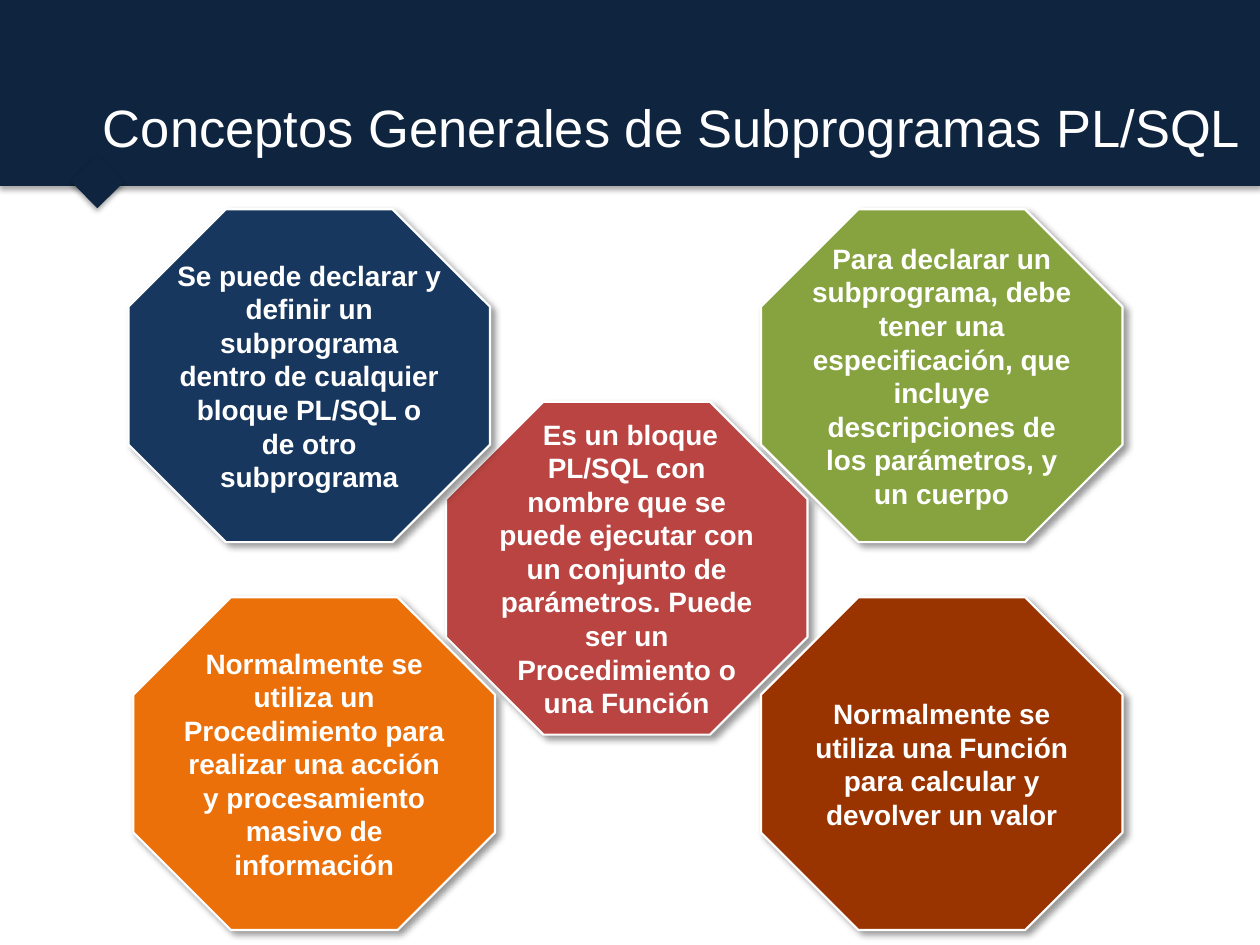
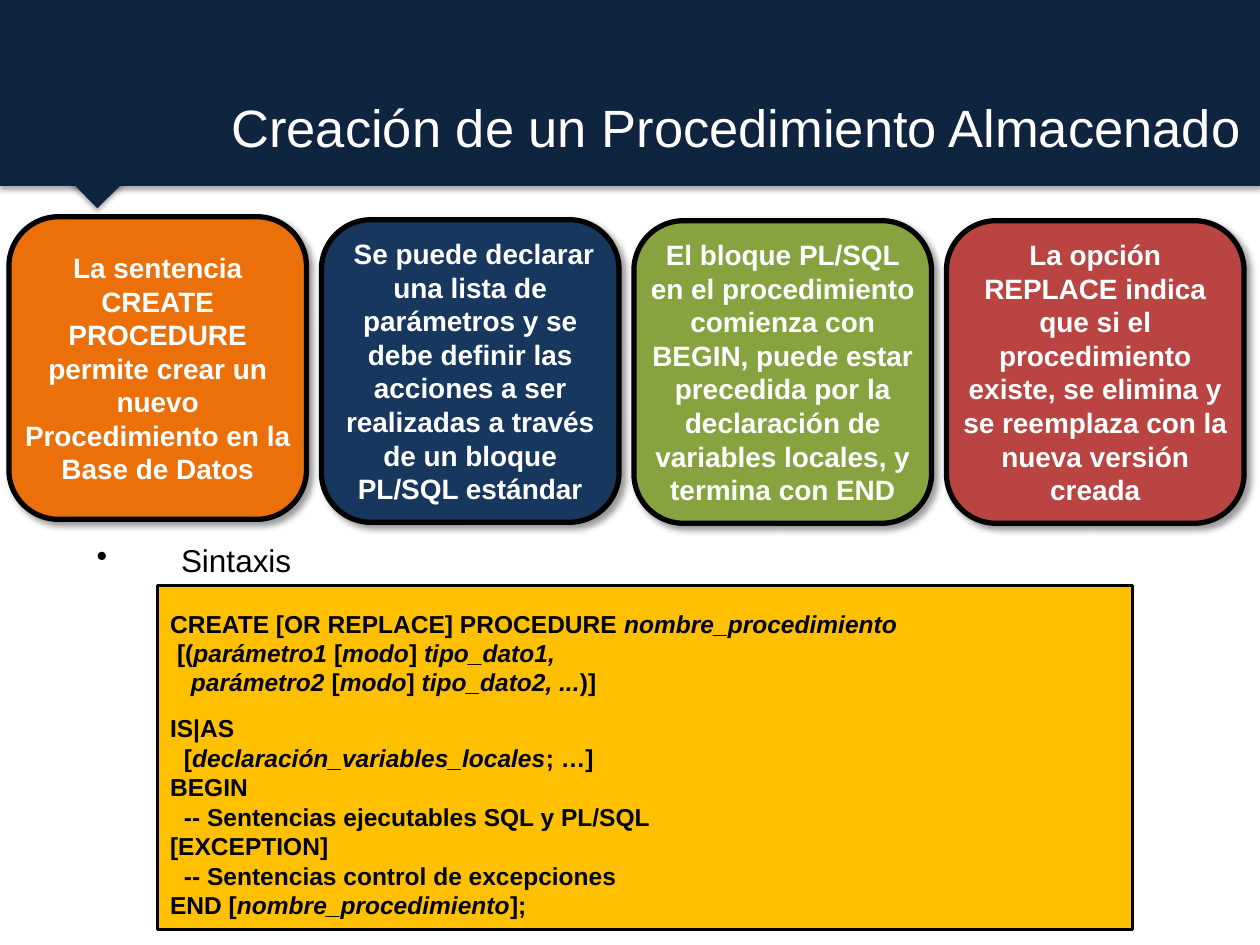
import lxml.etree
import pptx
import pptx.dml.color
import pptx.enum.shapes
import pptx.enum.text
import pptx.oxml
import pptx.oxml.ns
import pptx.util

Cm = pptx.util.Cm
Pt = pptx.util.Pt
SHAPE = pptx.enum.shapes.MSO_SHAPE
ALIGN = pptx.enum.text.PP_ALIGN
ANCHOR = pptx.enum.text.MSO_ANCHOR
FONT = "Arial"
COLORS = {
    "navy": "0F243E",
    "blue": "17375E",
    "green": "86A33F",
    "red": "B94441",
    "orange": "EC700A",
    "brown": "993300",
    "amber": "FFC000",
    "white": "FFFFFF",
    "black": "000000",
}
# Blur, distance (points), direction (degrees), opacity (percent)
BAND_SHADOW = (3.1, 1.8, 90, 35)
CARD_SHADOW = (4, 3, 45, 40)


def draw_shape(page, kind, place, fill, edge=None, edge_width=0, shadow=None):
    """Add a filled shape at (left, top, width, height) in centimetres."""
    shape = page.shapes.add_shape(kind, *[Cm(length) for length in place])
    shape.fill.solid()
    shape.fill.fore_color.rgb = pptx.dml.color.RGBColor.from_string(COLORS[fill])
    if edge:
        shape.line.color.rgb = pptx.dml.color.RGBColor.from_string(COLORS[edge])
        shape.line.width = Pt(edge_width)
    else:
        shape.line.fill.background()
    shape.shadow.inherit = False
    if shadow:
        blur, distance, angle, opacity = shadow
        effects = shape._element.spPr.find(pptx.oxml.ns.qn("a:effectLst"))
        outer = lxml.etree.SubElement(
            effects, pptx.oxml.ns.qn("a:outerShdw"), blurRad=str(Pt(blur)),
            dist=str(Pt(distance)), dir=str(angle * 60000), rotWithShape="0")
        color = lxml.etree.SubElement(
            outer, pptx.oxml.ns.qn("a:srgbClr"), val=COLORS["black"])
        lxml.etree.SubElement(
            color, pptx.oxml.ns.qn("a:alpha"), val=str(opacity * 1000))
    return shape


def write_para(para, text, size, color, align, bold=False):
    """Fill a paragraph; the parts between asterisks become italic."""
    para.alignment = align
    para.font.name = FONT
    para.font.size = Pt(size)
    para.font.bold = bold
    para.font.color.rgb = pptx.dml.color.RGBColor.from_string(COLORS[color])
    for index, part in enumerate(text.split("*")):
        if part:
            span = para.add_run()
            span.text = part
            if index % 2:
                span.font.italic = True


deck = pptx.Presentation()
deck.slide_width = Cm(25.4)
deck.slide_height = Cm(19.05)

# Band, pointer and title on every slide
pages = []
for title in ("Conceptos Generales de Subprogramas PL/SQL",
              "Creación de un Procedimiento Almacenado"):
    page = deck.slides.add_slide(deck.slide_layouts[6])
    draw_shape(page, SHAPE.RECTANGLE, (0, 0, 25.4, 3.75), "navy", shadow=BAND_SHADOW)
    pointer = draw_shape(page, SHAPE.RECTANGLE, (1.58, 3.3, 0.76, 0.74), "navy",
                         shadow=BAND_SHADOW)
    pointer.rotation = 45.6
    box = page.shapes.add_textbox(Cm(0.89), Cm(0.53), Cm(24.38), Cm(4.06))
    box.text_frame.word_wrap = True
    box.text_frame.vertical_anchor = ANCHOR.MIDDLE
    write_para(box.text_frame.paragraphs[0], title, 30, "white", ALIGN.RIGHT)
    pages.append(page)
concepts_page, procedure_page = pages

# Octagons around a central definition
concepts = [
    (8.99, 8.1, "red", " Es un bloque PL/SQL con nombre que se puede ejecutar con un "
     "conjunto de parámetros. Puede ser un Procedimiento o una Función"),
    (15.34, 4.22, "green", "Para declarar un subprograma, debe tener una "
     "especificación, que incluye descripciones de los parámetros, y un cuerpo"),
    (2.59, 4.22, "blue", "Se puede declarar y definir un subprograma dentro de "
     "cualquier bloque PL/SQL o de otro subprograma"),
    (2.69, 12.04, "orange", "Normalmente se utiliza un Procedimiento para realizar "
     "una acción y procesamiento masivo de información"),
    (15.34, 12.04, "brown", "Normalmente se utiliza una Función para calcular y "
     "devolver un valor"),
]
cards = []
for left, top, fill, text in concepts:
    octagon = draw_shape(concepts_page, SHAPE.OCTAGON, (left, top, 7.29, 6.71),
                         fill, "white", 1.25, CARD_SHADOW)
    cards.append((octagon, text))

# Row of rounded cards
steps = [
    (4.37, "orange", "La sentencia CREATE PROCEDURE permite crear un nuevo "
     "Procedimiento en la Base de Datos"),
    (4.43, "blue", " Se puede declarar una lista de parámetros y se debe definir las "
     "acciones a ser realizadas a través de un bloque PL/SQL estándar"),
    (4.45, "green", "El bloque PL/SQL en el procedimiento comienza con BEGIN, puede "
     "estar precedida por la declaración de variables locales, y termina con END"),
    (4.45, "red", "La opción REPLACE indica que si el procedimiento existe, se "
     "elimina y se reemplaza con la nueva versión creada"),
]
for index, (top, fill, text) in enumerate(steps):
    place = (0.18 + 6.3 * index, top, 6, 6.1)
    rounded = draw_shape(procedure_page, SHAPE.ROUNDED_RECTANGLE, place,
                         fill, "black", 3, CARD_SHADOW)
    cards.append((rounded, text))

for card, text in cards:
    frame = card.text_frame
    frame.word_wrap = True
    frame.vertical_anchor = ANCHOR.MIDDLE
    frame.margin_left = frame.margin_right = frame.margin_top = frame.margin_bottom = 0
    write_para(frame.paragraphs[0], text, 16, "white", ALIGN.CENTER, bold=True)

# Bulleted heading
heading = procedure_page.shapes.add_textbox(Cm(1.7), Cm(10.8), Cm(6.1), Cm(0.9))
heading.text_frame.word_wrap = True
heading.text_frame.margin_top = heading.text_frame.margin_bottom = Cm(0.1)
para = heading.text_frame.paragraphs[0]
write_para(para, "Sintaxis", 18, "black", ALIGN.LEFT)
properties = para._p.get_or_add_pPr()
properties.set("marL", str(Cm(1.7)))
properties.set("indent", str(-Cm(1.7)))
bullet = pptx.oxml.parse_xml(
    f'<a:buChar {pptx.oxml.ns.nsdecls("a")} char="•"/>')
properties.insert_element_before(bullet, "a:tabLst", "a:defRPr", "a:extLst")

# Syntax listing: indent in spaces, space before in points, text
syntax = [
    (0, 0, "CREATE [OR REPLACE] PROCEDURE *nombre_procedimiento*"),
    (1, 0, "[(*parámetro1 *[*modo*]* tipo_dato1,*"),
    (3, 0, "*parámetro2 *[*modo*]* tipo_dato2, ...*)]"),
    (0, 9.5, "IS|AS"),
    (2, 0, "[*declaración_variables_locales*; …]"),
    (0, 0, "BEGIN"),
    (2, 0, "-- Sentencias ejecutables SQL y PL/SQL"),
    (0, 0, "[EXCEPTION]"),
    (2, 0, "-- Sentencias control de excepciones"),
    (0, 0, "END [*nombre_procedimiento*];"),
]
SPACE_WIDTH = 0.14
listing = draw_shape(procedure_page, SHAPE.RECTANGLE, (3.18, 11.81, 19.66, 6.93),
                     "amber", "black", 1.75)
frame = listing.text_frame
frame.word_wrap = True
frame.vertical_anchor = ANCHOR.TOP
frame.margin_top = Cm(0.46)
for index, (indent, space_before, text) in enumerate(syntax):
    para = frame.add_paragraph() if index else frame.paragraphs[0]
    write_para(para, text, 14, "black", ALIGN.LEFT, bold=True)
    para.space_before = Pt(space_before)
    para._p.get_or_add_pPr().set("marL", str(Cm(SPACE_WIDTH * indent)))

deck.save("out.pptx")
